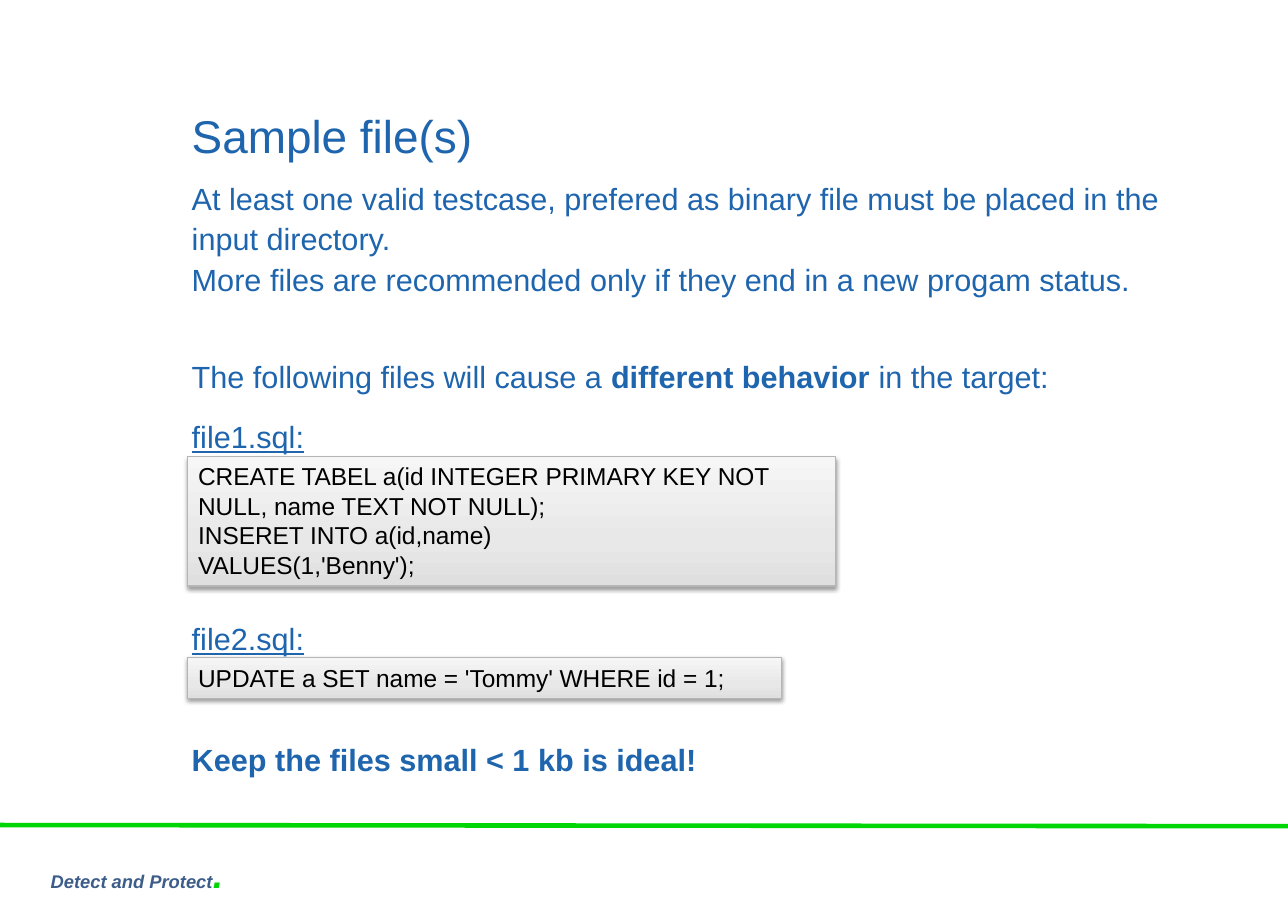
from lxml import etree
from pptx import Presentation
from pptx.dml.color import RGBColor
from pptx.enum.shapes import MSO_CONNECTOR, MSO_SHAPE
from pptx.enum.text import MSO_ANCHOR, MSO_AUTO_SIZE, PP_ALIGN
from pptx.oxml import parse_xml
from pptx.oxml.ns import qn
from pptx.util import Inches, Pt

LEFT, TOP, BOTTOM = PP_ALIGN.LEFT, MSO_ANCHOR.TOP, MSO_ANCHOR.BOTTOM
BLUE, GREEN, SLOGAN = "1E65AE", "00D505", "3C5C8A"
NS = 'xmlns:a="http://schemas.openxmlformats.org/drawingml/2006/main"'
STOPS = [(0, "DFDFE0"), (35, "E8E8E9"), (100, "F6F6F6")]
SHADOW = (f'<a:effectLst {NS}><a:outerShdw blurRad="39370" dist="20320" '
          'dir="5400000" rotWithShape="0"><a:srgbClr val="000000">'
          '<a:alpha val="38000"/></a:srgbClr></a:outerShdw></a:effectLst>')


def rgb(value):
    return RGBColor.from_string(value)


def write(tf, paragraphs, size, color, anchor=TOP, spacing=1.0, inset=(0, 0)):
    """Fill a frame; each paragraph is (space before, [(text, font values)])."""
    tf.word_wrap = True
    tf.auto_size = MSO_AUTO_SIZE.NONE
    tf.vertical_anchor = anchor
    tf.margin_left = tf.margin_right = Inches(inset[0])
    tf.margin_top = tf.margin_bottom = Inches(inset[1])
    for i, (before, runs) in enumerate(paragraphs):
        p = tf.add_paragraph() if i else tf.paragraphs[0]
        p.alignment = LEFT
        p.line_spacing = spacing
        p.space_before = Pt(before)
        for text, values in runs:
            r = p.add_run()
            r.text = text
            r.font.color.rgb = rgb(values.get("color", color))
            font = {"name": "Arial", "size": Pt(size), **values}
            font.pop("color", None)
            for name, value in font.items():
                setattr(r.font, name, value)


prs = Presentation()
prs.slide_width, prs.slide_height = Inches(11.69), Inches(8.27)
s = prs.slides.add_slide(prs.slide_layouts[5])

# Footer rule and slogan
line = s.shapes.add_connector(MSO_CONNECTOR.STRAIGHT, Inches(0), Inches(7.49),
                              Inches(11.69), Inches(7.5))
line.line.color.rgb = rgb(GREEN)
line.line.width = Pt(3)
etree.SubElement(line._element.spPr, qn("a:effectLst"))

sp = s.shapes.add_shape(MSO_SHAPE.RECTANGLE, Inches(0.46), Inches(7.73),
                        Inches(3.76), Inches(0.4))
sp.shadow.inherit = False
sp.fill.solid()
sp.fill.fore_color.rgb = rgb("FFFFFF")
sp.line.fill.background()
slogan = {"bold": True, "italic": True}
write(sp.text_frame, [(0, [("Detect and Protect", slogan),
                           (".", {**slogan, "size": Pt(24), "color": GREEN})])],
      12, SLOGAN)

# Title
title = s.shapes.title
title.left, title.top = Inches(1.74), Inches(0.99)
title.width, title.height = Inches(9.45), Inches(0.49)
write(title.text_frame, [(0, [("Sample file(s)", {})])], 30, BLUE, BOTTOM, 1.05)

# Body text, with room left for the code boxes
bold, underline = {"bold": True}, {"underline": True}
body = [
    (0, [("At least one valid testcase, prefered as binary file must be placed "
          "in the input directory.", {})]),
    (0, [("More files are recommended only if they end in a new progam status.",
          {})]),
    (37, [("The following files will cause a ", {}),
          ("different behavior", bold), (" in the target:", {})]),
    (13, [("file1.sql:", underline)]),
    (105.6, [("file2.sql:", underline)]),
    (52.8, [("Keep the files small < 1 kb is ideal!", bold)]),
]
box = s.shapes.add_textbox(Inches(1.74), Inches(1.6), Inches(9.45), Inches(5.86))
write(box.text_frame, body, 20, BLUE, spacing=1.1)

# Code boxes
code_boxes = [
    (5.97, 5.39, 0.37, ["UPDATE a SET name = 'Tommy' WHERE id = 1;"]),
    (4.14, 5.88, 1.18, ["CREATE TABEL a(id INTEGER PRIMARY KEY NOT NULL, "
                        "name TEXT NOT NULL);",
                        "INSERET INTO a(id,name)", "VALUES(1,'Benny');"]),
]
for top, width, height, code in code_boxes:
    sp = s.shapes.add_shape(MSO_SHAPE.RECTANGLE, Inches(1.7), Inches(top),
                            Inches(width), Inches(height))
    sp.fill.gradient()
    sp.fill.gradient_angle = 90
    stops = sp._element.spPr.find(".//" + qn("a:gsLst"))
    for stop in list(stops):
        stops.remove(stop)
    for pos, color in STOPS:
        stops.append(parse_xml(f'<a:gs {NS} pos="{pos * 1000}">'
                               f'<a:srgbClr val="{color}"/></a:gs>'))
    sp.line.color.rgb = rgb("B5B5B6")
    sp.line.width = Pt(0.75)
    sp._element.spPr.append(parse_xml(SHADOW))
    write(sp.text_frame, [(0, [(text, {})]) for text in code], 16, "000000",
          inset=(0.1, 0.05))

prs.save("out.pptx")
